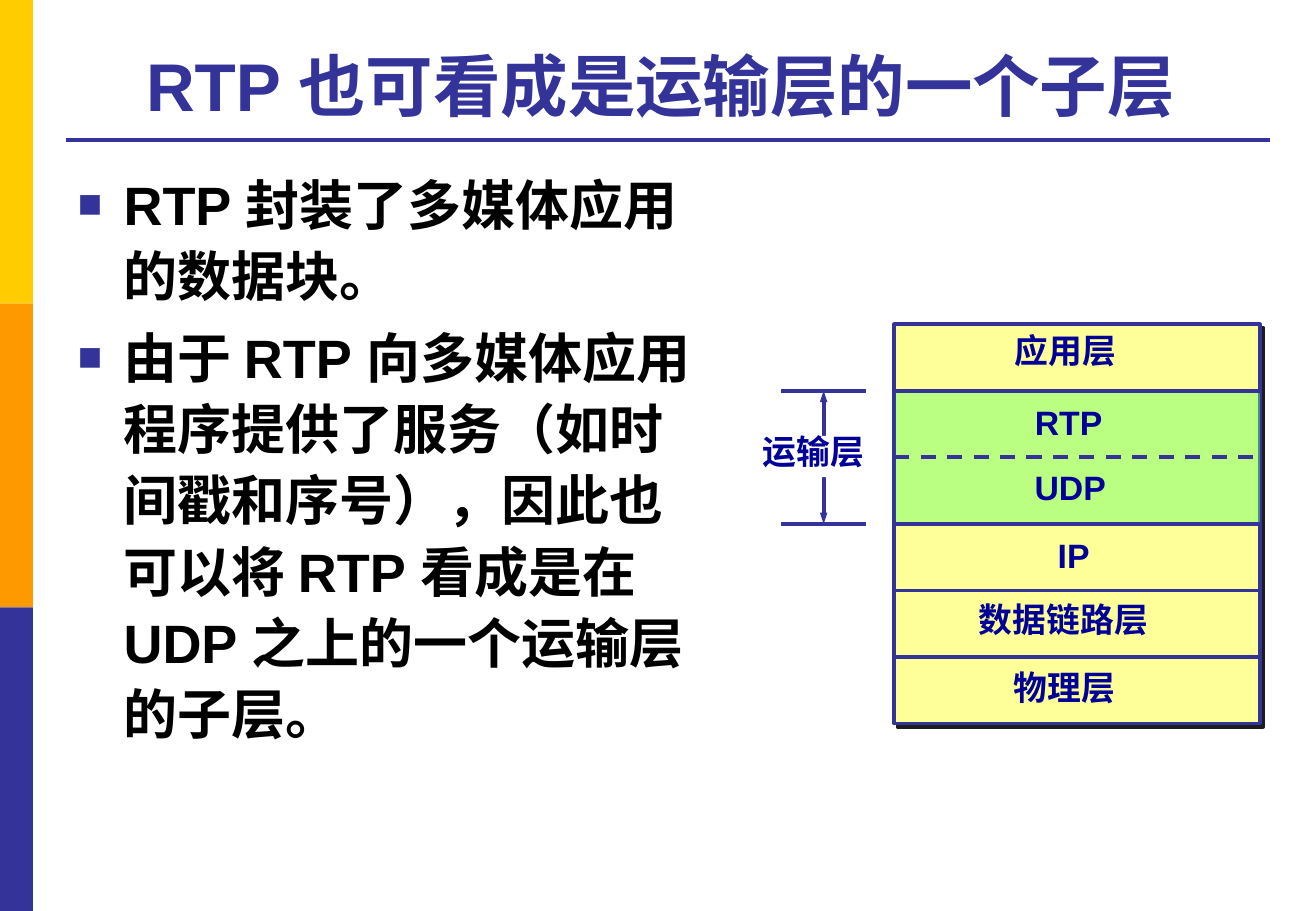
from pptx import Presentation
from pptx.dml.color import RGBColor
from pptx.enum.dml import MSO_LINE_DASH_STYLE as Dash
from pptx.enum.shapes import MSO_CONNECTOR as Connector, MSO_SHAPE as Shape
from pptx.enum.text import MSO_ANCHOR as Anchor, MSO_AUTO_SIZE as AutoSize, PP_ALIGN as Align
from pptx.oxml.ns import qn
from pptx.util import Pt
from lxml.etree import SubElement

BLUE = "333399"
NAVY = "000099"
YELLOW = "FFFF99"
ROW = 39.45
LAYERS = [
    ("应用层", -7, -4),
    ("RTP", -5, -1),
    ("UDP", -4, -2),
    ("IP", -2, -1),
    ("数据链路层", -8, -2.5),
    ("物理层", -7.5, -1.5),
]


def color(value):
    return RGBColor.from_string(value)


def add_child(parent, tag, **attributes):
    return SubElement(parent, qn(tag), attributes)


def place(shape, box):
    shape.left, shape.top, shape.width, shape.height = map(Pt, box)


def style_text(para, size, ink):
    font = para.font
    font.name, font.size, font.bold = "Arial", Pt(size), True
    font.color.rgb = color(ink)


def add_block(page, box, fill):
    block = page.shapes.add_shape(Shape.RECTANGLE, *map(Pt, box))
    block.shadow.inherit = False
    block.fill.solid()
    block.fill.fore_color.rgb = color(fill)
    block.line.fill.background()
    return block


def add_line(page, start, end):
    line = page.shapes.add_connector(Connector.STRAIGHT, *map(Pt, start + end))
    line.line.color.rgb = color(BLUE)
    line.line.width = Pt(2.25)
    add_child(line._element.spPr, "a:effectLst")
    return line


def add_label(page, center, size, text):
    x, y = center
    width, height = size
    label = page.shapes.add_textbox(Pt(x - width / 2), Pt(y - height / 2), Pt(width), Pt(height))
    label.text_frame.word_wrap = False
    para = label.text_frame.paragraphs[0]
    para.text = text
    para.alignment = Align.CENTER
    style_text(para, 20, NAVY)
    return label


def add_sidebar(page, box):
    left, top, width, height = box
    fills = ["FFCC00", "FF9900", BLUE]
    band = height / len(fills)
    for index, fill in enumerate(fills):
        add_block(page, (left, top + index * band, width, band), fill)


def add_title(page, box, text):
    title = page.shapes.title
    place(title, box)
    frame = title.text_frame
    frame.text = text
    frame.vertical_anchor = Anchor.BOTTOM
    frame.auto_size = AutoSize.NONE
    para = frame.paragraphs[0]
    para.alignment = Align.CENTER
    style_text(para, 40, BLUE)
    left, top, width, height = box
    rule_y = top + height + 5
    add_line(page, (left, rule_y), (left + width, rule_y))


def add_points(page, box, points):
    body = page.placeholders[1]
    place(body, box)
    frame = body.text_frame
    frame.text = "\n".join(points)
    frame.auto_size = AutoSize.NONE
    for para in frame.paragraphs:
        props = para._p.get_or_add_pPr()
        props.set("marL", str(Pt(27)))
        props.set("indent", str(Pt(-27)))
        add_child(add_child(props, "a:buClr"), "a:srgbClr", val=BLUE)
        add_child(props, "a:buSzPct", val="75000")
        add_child(props, "a:buFont", typeface="Arial")
        add_child(props, "a:buChar", char="■")
        para.line_spacing = 1.1
        para.space_before = Pt(6)
        style_text(para, 32, "000000")


def add_stack(page, box):
    left, top, width, height = box
    stack = add_block(page, box, YELLOW)
    stack.line.color.rgb = color(BLUE)
    stack.line.width = Pt(2.25)
    effects = stack._element.spPr.find(qn("a:effectLst"))
    shadow = add_child(effects, "a:outerShdw", blurRad="0", dist=str(Pt(2.8)),
                       dir="2700000", algn="ctr", rotWithShape="0")
    add_child(shadow, "a:srgbClr", val="1C1C1C")

    transport = add_block(page, (left + 1, top + ROW - 1, width - 1, 2 * ROW), "66FF66")
    tint = transport._element.spPr.find(qn("a:solidFill"))[0]
    add_child(tint, "a:alpha", val="44000")

    for index, (name, shift_x, shift_y) in enumerate(LAYERS):
        y = top + index * ROW
        if index:
            line = add_line(page, (left, y), (left + width, y))
            if name == "UDP":
                line.line.dash_style = Dash.DASH
        center = (left + width / 2 + shift_x, y + ROW / 2 + shift_y)
        add_label(page, center, (115, 31.7), name)


def add_bracket(page, box):
    left, top, width, height = box
    middle = left + width / 2
    arrow = add_line(page, (middle, top), (middle, top + height))
    outline = arrow.line._get_or_add_ln()
    for end in ("a:headEnd", "a:tailEnd"):
        add_child(outline, end, type="triangle", w="sm", len="med")
    label = add_label(page, (middle - 6, top + height / 2 - 0.5), (75, 24.5), "运输层")
    label.fill.solid()
    label.fill.fore_color.rgb = color("FFFFFF")
    label.text_frame.paragraphs[0].line_spacing = 0.7
    for y in (top, top + height):
        add_line(page, (left, y), (left + width, y))


def main():
    deck = Presentation()
    deck.slide_width, deck.slide_height = Pt(780), Pt(540)
    page = deck.slides.add_slide(deck.slide_layouts[1])
    add_sidebar(page, (0, 0, 19.5, 540))
    add_title(page, (39, 15, 714, 62.8), "RTP 也可看成是运输层的一个子层 ")
    add_points(page, (39, 94.3, 385, 389), [
        "RTP 封装了多媒体应用的数据块。",
        "由于 RTP 向多媒体应用程序提供了服务（如时间戳和序号），"
        "因此也可以将 RTP 看成是在 UDP 之上的一个运输层的子层。",
    ])
    stack_top = 192.2
    add_stack(page, (530, stack_top, 216.7, len(LAYERS) * ROW))
    add_bracket(page, (463, stack_top + ROW, 50.4, 2 * ROW))
    deck.save("out.pptx")


if __name__ == "__main__":
    main()
